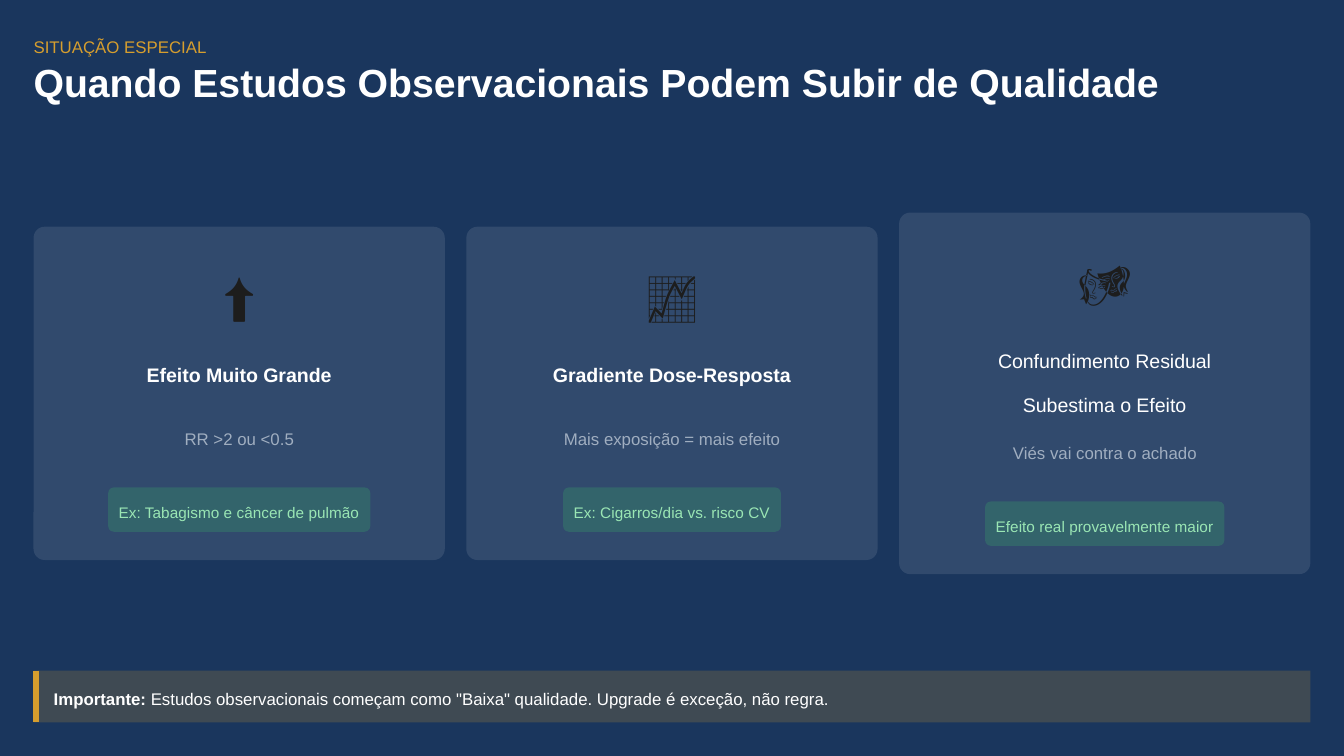
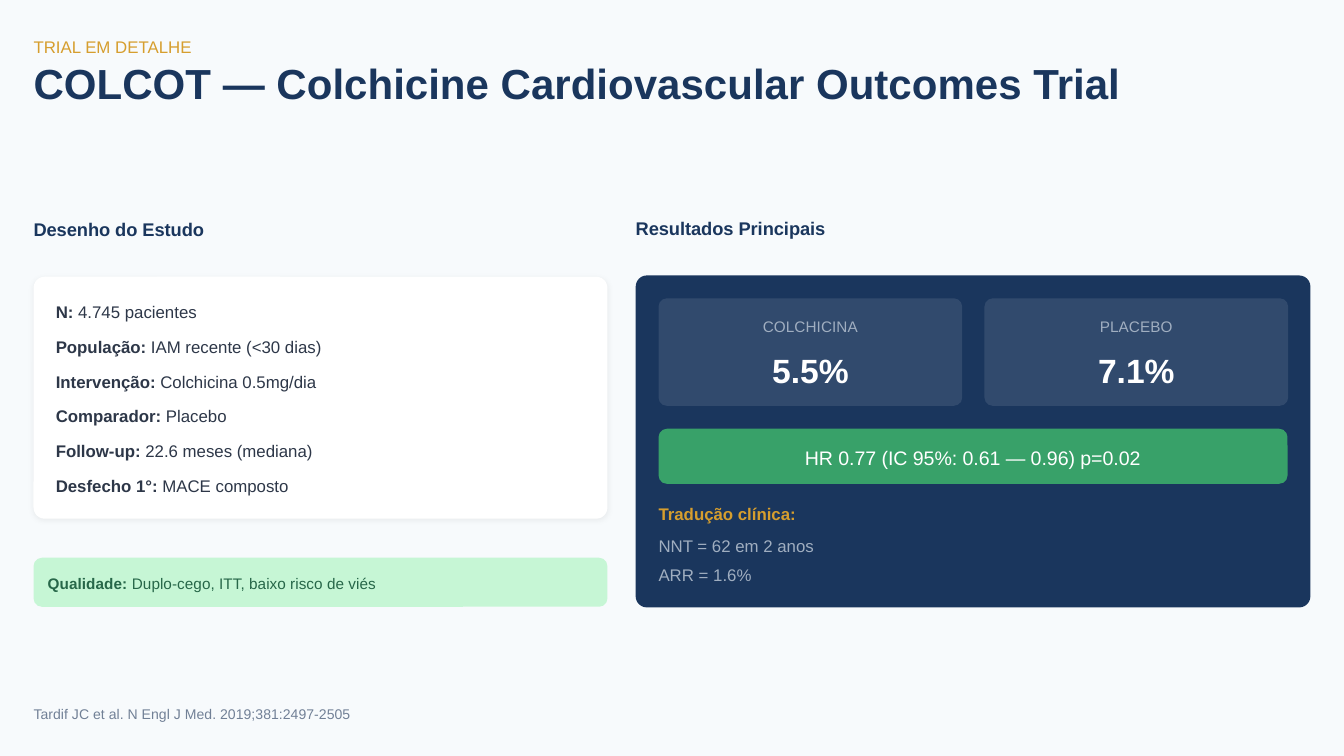
import lxml.etree
import pptx
import pptx.dml.color
import pptx.enum.shapes
import pptx.enum.text
import pptx.oxml.ns
import pptx.util

RGBColor = pptx.dml.color.RGBColor
NAVY = RGBColor(0x1A, 0x36, 0x5D)
PALE = RGBColor(0xF7, 0xFA, 0xFC)
WHITE = RGBColor(0xFF, 0xFF, 0xFF)
GOLD = RGBColor(0xD6, 0x9E, 0x2E)
GREEN = RGBColor(0x38, 0xA1, 0x69)
MINT = RGBColor(0x9A, 0xE6, 0xB4)
LIGHT_GREEN = RGBColor(0xC6, 0xF6, 0xD5)
DARK_GREEN = RGBColor(0x27, 0x67, 0x49)
SILVER = RGBColor(0xA0, 0xAE, 0xC0)
SLATE = RGBColor(0x71, 0x80, 0x96)
INK = RGBColor(0x2D, 0x37, 0x48)
ICON = RGBColor(0x1D, 0x1D, 0x1D)

# Text sizes in points
SMALL, BODY, HEADING, LARGE = 8.25, 9, 9.75, 10.5

# The page is a grid of 100 columns by 56.25 rows
COLUMNS, ROWS = 100, 56.25
MARGIN = 2.5
CONTENT = COLUMNS - 2 * MARGIN

LEFT = pptx.enum.text.PP_ALIGN.LEFT
CENTER = pptx.enum.text.PP_ALIGN.CENTER


class Deck:
    """Holds the style, the grid and the current page."""

    font = "Arial"
    leading = 1.4

    def __init__(self):
        self.file = pptx.Presentation()
        self.file.slide_width = pptx.util.Inches(10)
        self.file.slide_height = pptx.util.Inches(5.625)
        self.page = None

    def place(self, column, row):
        return (round(self.file.slide_width * column / COLUMNS),
                round(self.file.slide_height * row / ROWS))

    def start_page(self, background, label, title, size, color):
        self.page = self.file.slides.add_slide(self.file.slide_layouts[6])
        fill = self.page.background.fill
        fill.solid()
        fill.fore_color.rgb = background
        self.text(MARGIN, 2.5, 96.9, 1.7, label, color=GOLD)
        self.text(MARGIN, 4.9, 86, size / 7.2, title, size=size, color=color,
                  bold=True, leading=1)

    def text(self, column, row, width, height, *lines, size=BODY, color=WHITE,
             bold=False, align=LEFT, leading=None, after=0):
        """Each line is a string, or a pair of bold lead and plain rest."""
        box = self.page.shapes.add_textbox(*self.place(column, row),
                                           *self.place(width, height))
        frame = box.text_frame
        frame_format = {"word_wrap": True, "margin_left": 0, "margin_top": 0,
                        "margin_right": 0, "margin_bottom": 0}
        for name, value in frame_format.items():
            setattr(frame, name, value)
        para_format = {
            "alignment": align,
            "line_spacing": pptx.util.Pt(size * (leading or self.leading)),
            "space_after": pptx.util.Pt(after)}
        for index, line in enumerate(lines):
            para = frame.add_paragraph() if index else frame.paragraphs[0]
            for name, value in para_format.items():
                setattr(para, name, value)
            spans = [(line, bold)] if isinstance(line, str) else zip(line, (True, False))
            for words, strong in spans:
                span = para.add_run()
                span.text = words
                span.font.color.rgb = color
                span_format = {"name": self.font, "size": pptx.util.Pt(size),
                               "bold": strong}
                for name, value in span_format.items():
                    setattr(span.font, name, value)

    def panel(self, column, row, width, height, color, radius=0, opacity=100):
        kinds = pptx.enum.shapes.MSO_SHAPE
        panel = self.page.shapes.add_shape(
            kinds.ROUNDED_RECTANGLE if radius else kinds.RECTANGLE,
            *self.place(column, row), *self.place(width, height))
        if radius:
            panel.adjustments[0] = radius / min(width, height)
        panel.shadow.inherit = False
        panel.fill.solid()
        panel.fill.fore_color.rgb = color
        panel.line.fill.background()
        if opacity < 100:
            tint = panel.element.spPr.find(".//" + pptx.oxml.ns.qn("a:srgbClr"))
            self.add_alpha(tint, opacity)
        return panel

    def add_alpha(self, tint, percent):
        lxml.etree.SubElement(tint, pptx.oxml.ns.qn("a:alpha"),
                              val=str(percent * 1000))

    def soft_shadow(self, panel):
        effects = panel.element.spPr.find(pptx.oxml.ns.qn("a:effectLst"))
        shadow = lxml.etree.SubElement(
            effects, pptx.oxml.ns.qn("a:outerShdw"),
            blurRad=str(pptx.util.Pt(3)), dist=str(pptx.util.Pt(0.8)),
            dir="5400000", algn="ctr", rotWithShape="0")
        tint = lxml.etree.SubElement(shadow, pptx.oxml.ns.qn("a:srgbClr"),
                                     val="000000")
        self.add_alpha(tint, 6)

    def rule(self, column, top, bottom, color, weight):
        rule = self.page.shapes.add_connector(
            pptx.enum.shapes.MSO_CONNECTOR.STRAIGHT,
            *self.place(column, top), *self.place(column, bottom))
        rule.line.color.rgb = color
        rule.line.width = pptx.util.Pt(weight)
        lxml.etree.SubElement(rule.element.spPr, pptx.oxml.ns.qn("a:effectLst"))


def build_upgrade_page(deck):
    deck.start_page(NAVY, "SITUAÇÃO ESPECIAL",
                    "Quando Estudos Observacionais Podem Subir de Qualidade",
                    21, WHITE)

    # Three cards, centred on one line; widths are icon, name, note, chip
    cards = [
        ("⬆", ["Efeito Muito Grande"], "RR >2 ou <0.5",
         "Ex: Tabagismo e câncer de pulmão", 24.8, (3.2, 14.1, 8.3, 19.5)),
        ("📈", ["Gradiente Dose-Resposta"], "Mais exposição = mais efeito",
         "Ex: Cigarros/dia vs. risco CV", 24.8, (4.8, 18.2, 16.4, 16.2)),
        ("🎭", ["Confundimento Residual", "Subestima o Efeito"],
         "Viés vai contra o achado",
         "Efeito real provavelmente maior", 26.9, (4.8, 17.6, 13.9, 17.8)),
    ]
    card_width, card_step, middle_row = 30.6, 32.2, 29.27
    for index, (icon, name, note, example, height, widths) in enumerate(cards):
        column = MARGIN + index * card_step
        top, bottom = middle_row - height / 2, middle_row + height / 2
        deck.panel(column, top, card_width, height, WHITE, 0.83, 10)
        icon_left, name_left, note_left, chip_left = (
            column + (card_width - width) / 2 for width in widths)
        icon_width, name_width, note_width, chip_width = widths
        deck.text(icon_left, top + 2.05, icon_width, 5.2, icon,
                  size=27, color=ICON, align=CENTER)
        deck.text(name_left, top + 9.85, name_width, 2.05 * len(name), *name,
                  size=LARGE, bold=len(name) == 1, align=CENTER, after=9)
        deck.text(note_left, bottom - 10, note_width, 1.7, note,
                  color=SILVER, align=CENTER)
        deck.panel(chip_left, bottom - 5.4, chip_width, 3.3, GREEN, 0.42, 30)
        deck.text(chip_left + 0.65, bottom - 4.5, chip_width - 1.3, 1.6, example,
                  size=SMALL, color=MINT, align=CENTER)

    # Warning band
    deck.panel(MARGIN, 49.9, CONTENT, 3.85, GOLD, opacity=20)
    deck.rule(2.7, 49.9, 53.75, GOLD, 3)
    deck.text(4, 51, 94.4, 1.7,
              ("Importante:", ' Estudos observacionais começam como "Baixa" '
               "qualidade. Upgrade é exceção, não regra."))


def build_trial_page(deck):
    deck.start_page(PALE, "TRIAL EM DETALHE",
                    "COLCOT — Colchicine Cardiovascular Outcomes Trial",
                    22.5, NAVY)

    # Study design
    deck.text(MARGIN, 16, 43.6, 1.9, "Desenho do Estudo",
              size=HEADING, color=NAVY, bold=True)
    deck.soft_shadow(deck.panel(MARGIN, 20.6, 42.7, 18, WHITE, 0.83))
    facts = [
        ("N:", " 4.745 pacientes"),
        ("População:", " IAM recente (<30 dias)"),
        ("Intervenção:", " Colchicina 0.5mg/dia"),
        ("Comparador:", " Placebo"),
        ("Follow-up:", " 22.6 meses (mediana)"),
        ("Desfecho 1°:", " MACE composto"),
    ]
    for index, fact in enumerate(facts):
        deck.text(4.15, 22.2 + index * 2.59, 40.2, 1.7, fact, color=INK)
    deck.panel(MARGIN, 41.5, 42.7, 3.65, LIGHT_GREEN, 0.62)
    deck.text(3.55, 42.5, 41.5, 1.6,
              ("Qualidade:", " Duplo-cego, ITT, baixo risco de viés"),
              size=SMALL, color=DARK_GREEN)

    # Main results
    deck.text(47.3, 15.9, 51.2, 1.9, "Resultados Principais",
              size=HEADING, color=NAVY, bold=True)
    deck.panel(47.3, 20.5, 50.2, 24.7, NAVY, 0.83)
    inner = 49
    for index, (arm, rate) in enumerate([("COLCHICINA", "5.5%"),
                                         ("PLACEBO", "7.1%")]):
        column = inner + index * 24.25
        deck.panel(column, 22.2, 22.6, 8, WHITE, 0.62, 10)
        deck.text(column + 1.05, 23.4, 20.5, 1.6, arm,
                  size=SMALL, color=SILVER, align=CENTER)
        deck.text(column + 1.05, 25.5, 20.5, 3.5, rate,
                  size=18, bold=True, align=CENTER)
    deck.panel(inner, 31.9, 46.8, 4.1, GREEN, 0.62)
    deck.text(inner + 0.6, 32.9, 45.6, 2, "HR 0.77 (IC 95%: 0.61 — 0.96) p=0.02",
              size=LARGE, align=CENTER)

    # Clinical meaning
    deck.text(inner, 37.2, 47.8, 1.7, "Tradução clínica:", color=GOLD, bold=True)
    for index, figure in enumerate(["NNT = 62 em 2 anos", "ARR = 1.6%"]):
        deck.text(inner, 39.6 + index * 2.2, 47.8, 1.7, figure, color=SILVER)

    # Reference
    deck.text(MARGIN, 52.3, 96.9, 1.5,
              "Tardif JC et al. N Engl J Med. 2019;381:2497-2505",
              size=7.5, color=SLATE)


def main():
    deck = Deck()
    build_upgrade_page(deck)
    build_trial_page(deck)
    deck.file.save("out.pptx")


if __name__ == "__main__":
    main()
